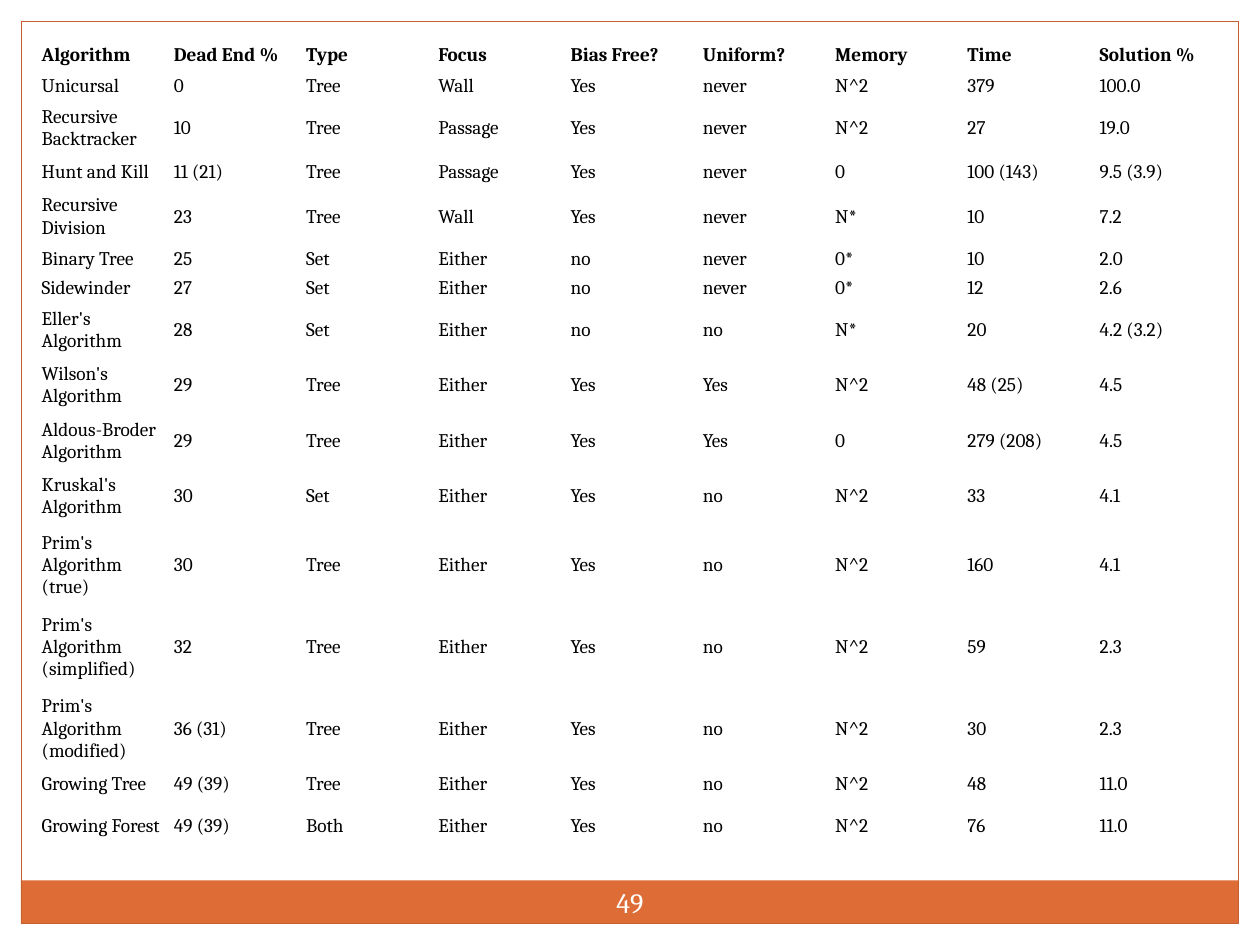
"""Build the maze algorithm comparison slide."""
from dataclasses import dataclass
from typing import Optional

from pptx import Presentation
from pptx.dml.color import RGBColor
from pptx.enum.shapes import MSO_SHAPE
from pptx.enum.text import MSO_ANCHOR, PP_ALIGN
from pptx.util import Cm, Pt

FONT = "Cambria"
WHITE, BLACK, ORANGE, RUST = "FFFFFF", "000000", "DE6C36", "C45F30"
HEADER, SINGLE, MEDIUM, DOUBLE, TRIPLE = 0.66, 0.58, 0.66, 1.12, 1.65
COLUMN_WIDTH = 24 / 9


@dataclass
class Panel:
    left: float
    top: float
    width: float
    height: float
    fill: Optional[str] = None
    line: Optional[str] = None


@dataclass
class Row:
    height: float
    values: str


PANELS = [
    Panel(0, 0, 25.4, 0.43, fill=WHITE),
    Panel(24.97, 0, 0.43, 19.05, fill=WHITE),
    Panel(0, 0, 0.43, 19.05, fill=WHITE),
    Panel(0.42, 17.75, 24.54, 0.87, fill=ORANGE),
    Panel(0.43, 0.43, 24.54, 18.19, line=RUST),
]

ROWS = [
    Row(HEADER, "Algorithm|Dead End %|Type|Focus|Bias Free?|Uniform?|Memory|Time|Solution %"),
    Row(SINGLE, "Unicursal|0|Tree|Wall|Yes|never|N^2|379|100.0"),
    Row(DOUBLE, "Recursive Backtracker|10|Tree|Passage|Yes|never|N^2|27|19.0"),
    Row(MEDIUM, "Hunt and Kill|11 (21)|Tree|Passage|Yes|never|0|100 (143)|9.5 (3.9)"),
    Row(DOUBLE, "Recursive Division|23|Tree|Wall|Yes|never|N*|10|7.2"),
    Row(SINGLE, "Binary Tree|25|Set|Either|no|never|0*|10|2.0"),
    Row(SINGLE, "Sidewinder|27|Set|Either|no|never|0*|12|2.6"),
    Row(DOUBLE, "Eller's Algorithm|28|Set|Either|no|no|N*|20|4.2 (3.2)"),
    Row(DOUBLE, "Wilson's Algorithm|29|Tree|Either|Yes|Yes|N^2|48 (25)|4.5"),
    Row(DOUBLE, "Aldous-Broder Algorithm|29|Tree|Either|Yes|Yes|0|279 (208)|4.5"),
    Row(DOUBLE, "Kruskal's Algorithm|30|Set|Either|Yes|no|N^2|33|4.1"),
    Row(TRIPLE, "Prim's Algorithm (true)|30|Tree|Either|Yes|no|N^2|160|4.1"),
    Row(TRIPLE, "Prim's Algorithm (simplified)|32|Tree|Either|Yes|no|N^2|59|2.3"),
    Row(TRIPLE, "Prim's Algorithm (modified)|36 (31)|Tree|Either|Yes|no|N^2|30|2.3"),
    Row(SINGLE, "Growing Tree|49 (39)|Tree|Either|Yes|no|N^2|48|11.0"),
    Row(DOUBLE, "Growing Forest|49 (39)|Both|Either|Yes|no|N^2|76|11.0"),
]


def paint(color_format, color: str) -> None:
    color_format.rgb = RGBColor.from_string(color)


def fill_solid(fill, color: str) -> None:
    fill.solid()
    paint(fill.fore_color, color)


def write(paragraph, text: str, size: float, color: str, bold: bool = False) -> None:
    run = paragraph.add_run()
    run.text = text
    run.font.name, run.font.size, run.font.bold = FONT, Pt(size), bold
    paint(run.font.color, color)


def draw_panel(slide, panel: Panel) -> None:
    shape = slide.shapes.add_shape(
        MSO_SHAPE.RECTANGLE, Cm(panel.left), Cm(panel.top), Cm(panel.width), Cm(panel.height))
    shape.shadow.inherit = False
    if panel.fill:
        fill_solid(shape.fill, panel.fill)
    else:
        shape.fill.background()
    if panel.line:
        paint(shape.line.color, panel.line)
        shape.line.width = Pt(0.75)
    else:
        shape.line.fill.background()


def draw_page_number(slide, number: str) -> None:
    box = slide.shapes.add_textbox(Cm(11.85), Cm(17.58), Cm(1.7), Cm(1.22))
    frame = box.text_frame
    frame.word_wrap = True
    frame.vertical_anchor = MSO_ANCHOR.MIDDLE
    frame.margin_left = frame.margin_right = frame.margin_top = frame.margin_bottom = Cm(0.13)
    frame.paragraphs[0].alignment = PP_ALIGN.CENTER
    write(frame.paragraphs[0], number, 16, WHITE)


def draw_cell(cell, text: str, bold: bool) -> None:
    fill_solid(cell.fill, WHITE)
    cell.vertical_anchor = MSO_ANCHOR.MIDDLE
    cell.margin_left = cell.margin_right = Cm(0.05)
    cell.margin_top = cell.margin_bottom = Cm(0.03)
    write(cell.text_frame.paragraphs[0], text, 11, BLACK, bold)


def draw_table(slide, rows: list[Row]) -> None:
    column_count = len(rows[0].values.split("|"))
    table = slide.shapes.add_table(
        len(rows), column_count, Cm(0.79), Cm(0.79),
        Cm(COLUMN_WIDTH * column_count), Cm(sum(row.height for row in rows))).table
    table.first_row = table.horz_banding = False
    for column in table.columns:
        column.width = Cm(COLUMN_WIDTH)
    for i, row in enumerate(rows):
        table.rows[i].height = Cm(row.height)
        for j, text in enumerate(row.values.split("|")):
            draw_cell(table.cell(i, j), text, bold=i == 0)


def main() -> None:
    deck = Presentation()
    deck.slide_width, deck.slide_height = Cm(25.4), Cm(19.05)
    slide = deck.slides.add_slide(deck.slide_layouts[6])
    fill_solid(slide.background.fill, WHITE)
    for panel in PANELS:
        draw_panel(slide, panel)
    draw_page_number(slide, "49")
    draw_table(slide, ROWS)
    deck.save("out.pptx")


main()
